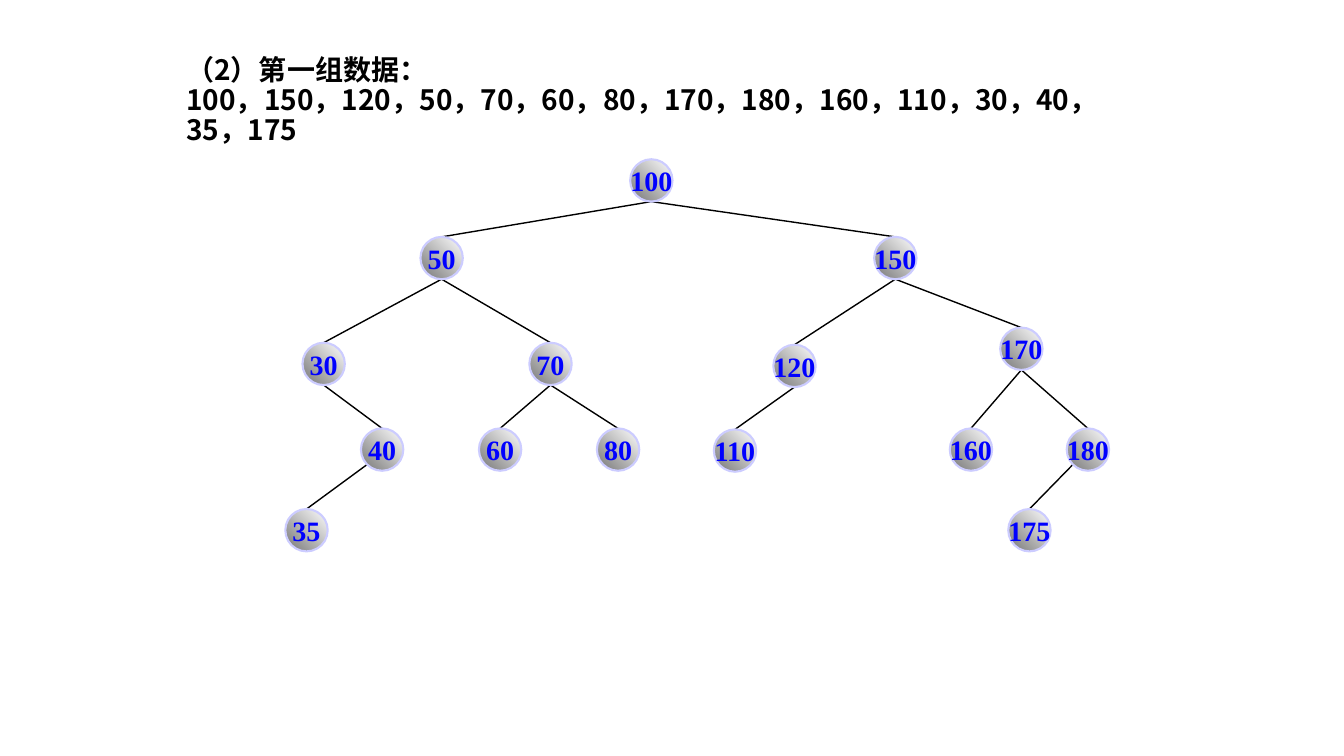
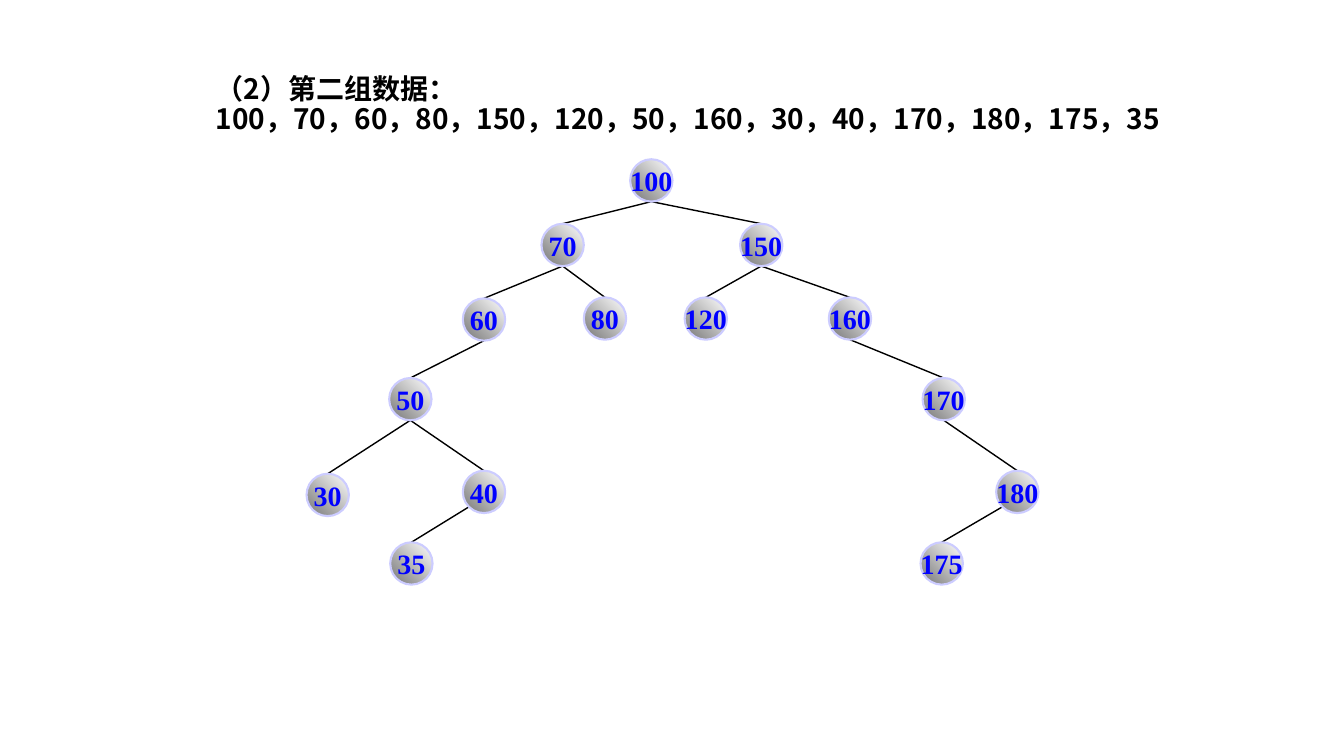
from dataclasses import dataclass

import lxml.etree
import pptx
import pptx.dml.color
import pptx.enum.shapes
import pptx.enum.text
import pptx.oxml.ns
import pptx.slide
import pptx.text.text
import pptx.util

Inches = pptx.util.Inches
Pt = pptx.util.Pt

DIAMETER = 0.42
RADIUS = DIAMETER / 2
DIAGONAL = RADIUS * 0.5 ** 0.5
TITLE_FONT = "Noto Sans CJK SC"
NODE_FONT = "Times New Roman"
BLACK = "000000"
NODE_TEXT = "0000FF"
NODE_BORDER = "CCCCFF"
NODE_GRADIENT = ("767676", "FFFFFF")


@dataclass(frozen=True)
class Node:
    value: int
    left: float
    top: float
    parent: int | None = None
    from_corner: bool = False


@dataclass(frozen=True)
class TreeSlide:
    heading: str
    data: str
    title_box: tuple[float, float, float, float]
    nodes: tuple[Node, ...]


TREE_SLIDES = (
    TreeSlide(
        "（2）第一组数据：",
        "100，150，120，50，70，60，80，170，180，160，110，30，40，35，175",
        (1.75, 0.28, 9.77, 1.45),
        (
            Node(100, 6.25, 1.58),
            Node(50, 4.17, 2.35, 100),
            Node(150, 8.67, 2.35, 100),
            Node(30, 3, 3.4, 50),
            Node(70, 5.25, 3.4, 50),
            Node(120, 7.67, 3.42, 150),
            Node(170, 9.92, 3.25, 150),
            Node(40, 3.58, 4.25, 30),
            Node(60, 4.75, 4.25, 70),
            Node(80, 5.92, 4.25, 70),
            Node(110, 7.08, 4.26, 120),
            Node(160, 9.42, 4.25, 170),
            Node(180, 10.58, 4.25, 170),
            Node(35, 2.83, 5.05, 40, from_corner=True),
            Node(175, 10, 5.05, 180, from_corner=True),
        ),
    ),
    TreeSlide(
        "（2）第二组数据：",
        "100，70，60，80，150，120，50，160，30，40，170，180，175，35",
        (2.04, 0.32, 9.58, 1.45),
        (
            Node(100, 6.25, 1.58),
            Node(70, 5.37, 2.22, 100),
            Node(150, 7.34, 2.22, 100),
            Node(60, 4.59, 2.96, 70),
            Node(80, 5.79, 2.95, 70),
            Node(120, 6.79, 2.95, 150),
            Node(160, 8.22, 2.95, 150),
            Node(50, 3.86, 3.75, 60),
            Node(170, 9.15, 3.75, 160),
            Node(30, 3.04, 4.7, 50),
            Node(40, 4.59, 4.67, 50),
            Node(180, 9.88, 4.67, 170),
            Node(35, 3.87, 5.38, 40, from_corner=True),
            Node(175, 9.13, 5.38, 180, from_corner=True),
        ),
    ),
)


def colour(value: str) -> pptx.dml.color.RGBColor:
    return pptx.dml.color.RGBColor.from_string(value)


def format_runs(paragraph: pptx.text.text._Paragraph, font_name: str, text_colour: str) -> None:
    for run in paragraph.runs:
        run.font.name = font_name
        run.font.size = Pt(20)
        run.font.bold = True
        run.font.color.rgb = colour(text_colour)
        east_asian = lxml.etree.SubElement(run.font._element, pptx.oxml.ns.qn("a:ea"))
        east_asian.set("typeface", font_name)


def add_title(slide: pptx.slide.Slide, tree: TreeSlide) -> None:
    shape = slide.shapes.add_textbox(*map(Inches, tree.title_box))
    text_frame = shape.text_frame
    text_frame.word_wrap = True
    text_frame.vertical_anchor = pptx.enum.text.MSO_ANCHOR.MIDDLE
    paragraph = text_frame.paragraphs[0]
    paragraph.text = f"{tree.heading}\v{tree.data}"
    paragraph.line_spacing = 0.9
    format_runs(paragraph, TITLE_FONT, BLACK)


def add_edge(slide: pptx.slide.Slide, parent: Node, child: Node) -> None:
    shift_x, shift_y = (-DIAGONAL, DIAGONAL) if child.from_corner else (0, RADIUS)
    connector = slide.shapes.add_connector(
        pptx.enum.shapes.MSO_CONNECTOR.STRAIGHT,
        Inches(parent.left + RADIUS + shift_x),
        Inches(parent.top + RADIUS + shift_y),
        Inches(child.left + RADIUS),
        Inches(child.top),
    )
    connector.line.color.rgb = colour(BLACK)
    connector.line.width = Pt(1)
    lxml.etree.SubElement(connector._element.spPr, pptx.oxml.ns.qn("a:effectLst"))


def add_node(slide: pptx.slide.Slide, node: Node) -> None:
    shape = slide.shapes.add_shape(
        pptx.enum.shapes.MSO_SHAPE.OVAL,
        Inches(node.left), Inches(node.top), Inches(DIAMETER), Inches(DIAMETER),
    )
    shape.shadow.inherit = False
    shape.fill.gradient()
    shape.fill.gradient_angle = 45
    for stop, stop_colour in zip(shape.fill.gradient_stops, NODE_GRADIENT):
        stop.color.rgb = colour(stop_colour)
    shape.line.color.rgb = colour(NODE_BORDER)
    shape.line.width = Pt(1.5)
    text_frame = shape.text_frame
    text_frame.word_wrap = False
    text_frame.vertical_anchor = pptx.enum.text.MSO_ANCHOR.MIDDLE
    text_frame.text = str(node.value)
    paragraph = text_frame.paragraphs[0]
    paragraph.alignment = pptx.enum.text.PP_ALIGN.CENTER
    format_runs(paragraph, NODE_FONT, NODE_TEXT)


def add_tree(slide: pptx.slide.Slide, nodes: tuple[Node, ...]) -> None:
    by_value = {node.value: node for node in nodes}
    for node in nodes:
        if node.parent is not None:
            add_edge(slide, by_value[node.parent], node)
    for node in nodes:
        add_node(slide, node)


def main() -> None:
    """Build one slide with a binary search tree for each group of data."""
    presentation = pptx.Presentation()
    presentation.slide_width = Inches(13.33)
    presentation.slide_height = Inches(7.5)
    for tree in TREE_SLIDES:
        slide = presentation.slides.add_slide(presentation.slide_layouts[6])
        add_title(slide, tree)
        add_tree(slide, tree.nodes)
    presentation.save("out.pptx")


if __name__ == "__main__":
    main()
